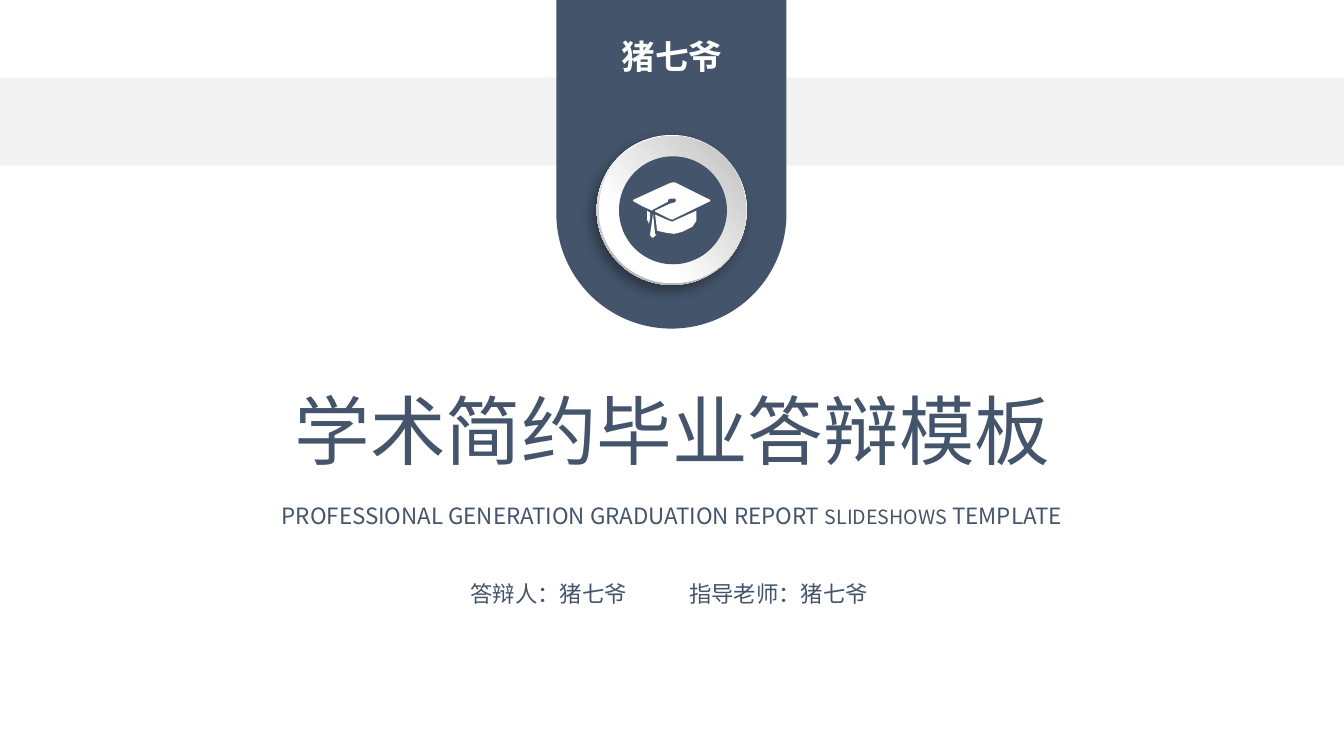
from lxml import etree
from pptx import Presentation
from pptx.dml.color import RGBColor
from pptx.enum.shapes import MSO_SHAPE
from pptx.enum.text import MSO_ANCHOR, MSO_AUTO_SIZE, PP_ALIGN
from pptx.oxml import parse_xml
from pptx.oxml.ns import nsdecls, qn
from pptx.util import Cm, Pt

FONT = "Noto Sans CJK SC"
NAVY = "44546A"
WHITE = "FFFFFF"

rgb = RGBColor.from_string


def write_text(*parts, place, size, color=NAVY, bold=False, box=None):
    """Each part is a text, or a (text, size) pair."""
    box = box or slide.shapes.add_textbox(0, 0, 0, 0)
    box.left, box.top, box.width, box.height = map(Cm, place)
    frame = box.text_frame
    frame.auto_size = MSO_AUTO_SIZE.NONE
    frame.word_wrap = False
    frame.vertical_anchor = MSO_ANCHOR.MIDDLE
    line = frame.paragraphs[0]
    line.alignment = PP_ALIGN.CENTER
    for part in parts:
        text, points = part if isinstance(part, tuple) else (part, size)
        run = line.add_run()
        run.text = text
        run.font.size = Pt(points)
        run.font.bold = bold
        run.font.color.rgb = rgb(color)
        run.font.name = FONT
        east_asian = etree.SubElement(run.font._element, qn("a:ea"))
        east_asian.set("typeface", FONT)


def paint(shape, color, end_color=None, stops=(0, 1), angle=0):
    shape.shadow.inherit = False
    shape.line.fill.background()
    if end_color is None:
        shape.fill.solid()
        shape.fill.fore_color.rgb = rgb(color)
        return
    shape.fill.gradient()
    shape.fill.gradient_angle = angle
    for stop, hue, position in zip(shape.fill.gradient_stops, (color, end_color), stops):
        stop.color.rgb = rgb(hue)
        stop.position = position


prs = Presentation()
prs.slide_width, prs.slide_height = Cm(33.87), Cm(19.05)
slide = prs.slides.add_slide(prs.slide_layouts[5])
shapes = slide.shapes

# Grey band and hanging ribbon
band = shapes.add_shape(MSO_SHAPE.RECTANGLE, 0, Cm(1.96), Cm(33.87), Cm(2.21))
paint(band, "F2F2F2")
ribbon = shapes.add_shape(MSO_SHAPE.ROUND_2_SAME_RECTANGLE, Cm(14.02), 0, Cm(5.8), Cm(8.28))
ribbon.adjustments[0] = 0.5
ribbon.rotation = 180
paint(ribbon, NAVY)

# Title and lines below it
write_text("学术简约毕业答辩模板", place=(3.1, 9.53, 27.69, 2.57), size=54, box=shapes.title)
write_text("PROFESSIONAL GENERATION GRADUATION REPORT ", ("SLIDESHOWS", 14), " TEMPLATE",
           place=(4.17, 12.52, 25.53, 0.94), size=16)
write_text("答辩人：猪七爷", place=(11.58, 14.48, 4.5, 0.94), size=16)
write_text("指导老师：猪七爷", place=(16.99, 14.48, 5.26, 0.94), size=16)

# Medal: rim with a soft shadow, ring, and navy disc
rim = shapes.add_shape(MSO_SHAPE.OVAL, Cm(15.04), Cm(3.4), Cm(3.78), Cm(3.78))
paint(rim, WHITE, "B8B8B8", stops=(0.17, 0.88), angle=253)
rim_effects = rim._element.spPr.find(qn("a:effectLst"))
rim_effects.append(parse_xml(
    f'<a:outerShdw {nsdecls("a")} blurRad="{Pt(10)}" dist="{Pt(5)}" dir="{123 * 60000}" '
    'algn="ctr" rotWithShape="0"><a:srgbClr val="000000"><a:alpha val="39000"/>'
    '</a:srgbClr></a:outerShdw>'))
ring = shapes.add_shape(MSO_SHAPE.OVAL, Cm(15.09), Cm(3.43), Cm(3.71), Cm(3.71))
paint(ring, WHITE, "BFBFBF", stops=(0.29, 0.98), angle=42)
disc = shapes.add_shape(MSO_SHAPE.OVAL, Cm(15.6), Cm(3.94), Cm(2.72), Cm(2.72))
paint(disc, NAVY)

# Graduation cap, on a grid of 0.0254 cm
board = [(664, 182), (667, 181), (670, 181), (704, 198), (705, 199), (704, 200),
         (669, 217), (667, 218), (664, 217), (652, 211), (650, 210), (650, 209),
         (665, 202), (669, 201), (671, 199), (670, 197), (666, 197), (663, 198),
         (663, 200), (648, 208), (647, 209), (638, 205), (629, 200), (628, 199),
         (629, 198)]
cord = [(642, 209), (645, 211), (645, 216), (644, 222), (642, 218)]
crown = [(669, 219), (691, 209), (691, 219), (689, 222), (687, 225), (683, 227),
         (677, 230), (669, 232), (661, 231), (652, 229), (650, 213), (664, 219),
         (667, 220)]
tassel = [(645, 233), (648, 212), (650, 232), (651, 233), (649, 235), (648, 236),
          (646, 235)]
for outline in (board, cord, crown, tassel):
    builder = shapes.build_freeform(*outline[0], scale=Cm(0.0254))
    builder.add_line_segments(outline[1:], close=True)
    paint(builder.convert_to_shape(), WHITE)

# Name on the ribbon
write_text("猪七爷", place=(15.29, 0.79, 3.3, 1.27), size=24, color=WHITE, bold=True)

prs.save("out.pptx")
